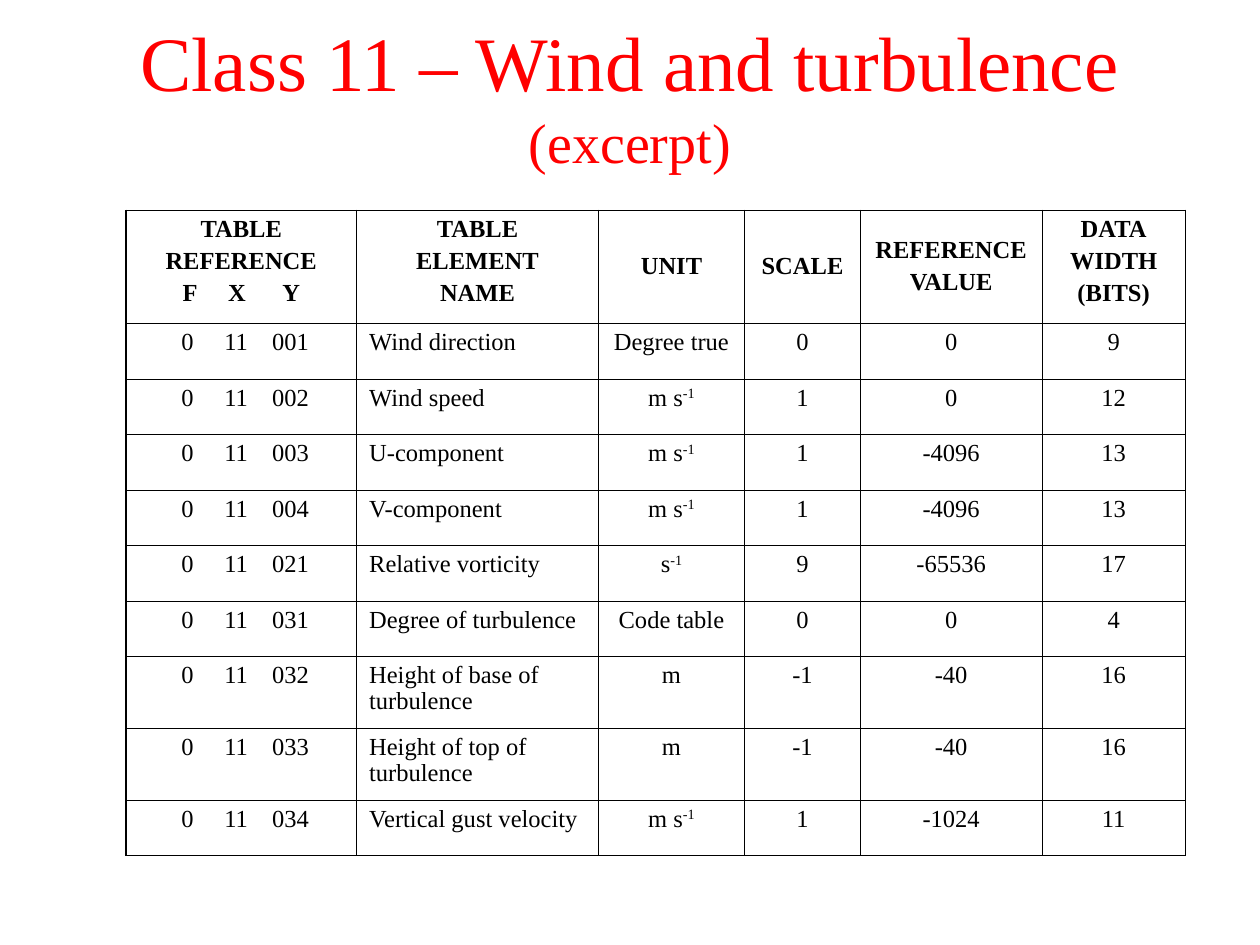
from lxml import etree
from pptx import Presentation
from pptx.dml.color import RGBColor
from pptx.enum.text import MSO_ANCHOR, PP_ALIGN
from pptx.oxml.ns import qn
from pptx.util import Inches, Pt

LEFT, CENTER = PP_ALIGN.LEFT, PP_ALIGN.CENTER
TOP, MIDDLE = MSO_ANCHOR.TOP, MSO_ANCHOR.MIDDLE

COLORS = {"title": "FF0000", "text": "000000", "border": "000000"}
FONT = "Times New Roman"
SLIDE_WIDTH, SLIDE_HEIGHT = Inches(10), Inches(7.5)
OUTER_LINE, INNER_LINE = Pt(1.08), Pt(0.45)

# Column widths and row heights in percent of the slide
COLUMN_WIDTHS = [18.3, 19.2, 11.6, 9.2, 14.4, 11.4]
HEADER_HEIGHT, ROW_HEIGHT, TALL_ROW_HEIGHT = 12, 5.87, 7.6
TALL_ELEMENTS = ("Height of base of turbulence", "Height of top of turbulence")

# Tab stops in inches for the F, X and Y parts of a table reference
HEADER_TABS = [0.35, 0.71, 1.14]
REFERENCE_TABS = [0.34, 0.68, 1.06]

HEADERS = [
    (["TABLE", "REFERENCE", "\tF\tX\tY"], TOP),
    (["TABLE", "ELEMENT", "NAME"], TOP),
    (["UNIT"], MIDDLE),
    (["SCALE"], MIDDLE),
    (["REFERENCE", "VALUE"], MIDDLE),
    (["DATA", "WIDTH", "(BITS)"], TOP),
]

# Y number, element name, unit (^ starts a superscript), scale, reference value, bits
ELEMENTS = [
    ("001", "Wind direction", "Degree true", "0", "0", "9"),
    ("002", "Wind speed", "m s^-1", "1", "0", "12"),
    ("003", "U-component", "m s^-1", "1", "-4096", "13"),
    ("004", "V-component", "m s^-1", "1", "-4096", "13"),
    ("021", "Relative vorticity", "s^-1", "9", "-65536", "17"),
    ("031", "Degree of turbulence", "Code table", "0", "0", "4"),
    ("032", "Height of base of turbulence", "m", "-1", "-40", "16"),
    ("033", "Height of top of turbulence", "m", "-1", "-40", "16"),
    ("034", "Vertical gust velocity", "m s^-1", "1", "-1024", "11"),
]


def across(percent):
    return round(SLIDE_WIDTH * percent / 100)


def down(percent):
    return round(SLIDE_HEIGHT * percent / 100)


def set_attributes(target, values):
    for name, value in values.items():
        setattr(target, name, value)


def add_run(paragraph, text, size, color, bold=False):
    run = paragraph.add_run()
    run.text = text
    set_attributes(run.font, {"name": FONT, "size": Pt(size), "bold": bold})
    run.font.color.rgb = RGBColor.from_string(COLORS[color])
    return run


def add_tab_stops(paragraph, stops):
    tab_list = etree.SubElement(paragraph._p.get_or_add_pPr(), qn("a:tabLst"))
    for stop in stops:
        etree.SubElement(tab_list, qn("a:tab"), pos=str(Inches(stop)), algn="l")


def write_paragraph(paragraph, text, alignment, tabs, bold=False):
    tabbed = "\t" in text
    set_attributes(paragraph, {
        "alignment": LEFT if tabbed else alignment,
        "line_spacing": 0.95,
        "space_before": Pt(3.5),
    })
    if tabbed:
        add_tab_stops(paragraph, tabs)
    base, _, superscript = text.partition("^")
    add_run(paragraph, base, 14, "text", bold)
    if superscript:
        run = add_run(paragraph, superscript, 14, "text", bold)
        run.font._element.set("baseline", "30000")


def set_borders(cell, widths):
    properties = cell._tc.get_or_add_tcPr()
    for side, width in widths.items():
        line = etree.SubElement(properties, qn(f"a:ln{side}"), w=str(width))
        fill = etree.SubElement(line, qn("a:solidFill"))
        etree.SubElement(fill, qn("a:srgbClr"), val=COLORS["border"])


def fill_cell(cell, lines, alignment=CENTER, anchor=TOP, tabs=(), bold=False):
    cell.vertical_anchor = anchor
    frame = cell.text_frame
    for index, text in enumerate(lines):
        paragraph = frame.add_paragraph() if index else frame.paragraphs[0]
        write_paragraph(paragraph, text, alignment, tabs, bold)


def add_title(slide):
    shape = slide.shapes.add_textbox(across(7.5), down(3.33), across(85), down(13.33))
    set_attributes(shape.text_frame, {"word_wrap": True, "vertical_anchor": MIDDLE})
    paragraph = shape.text_frame.paragraphs[0]
    paragraph.alignment = CENTER
    add_run(paragraph, "Class 11 – Wind and turbulence", 44, "title")
    paragraph.add_line_break()
    add_run(paragraph, "(excerpt)", 32, "title")


def add_element_table(slide):
    heights = [HEADER_HEIGHT] + [
        TALL_ROW_HEIGHT if element[1] in TALL_ELEMENTS else ROW_HEIGHT
        for element in ELEMENTS
    ]
    last_row, last_column = len(heights) - 1, len(COLUMN_WIDTHS) - 1
    table = slide.shapes.add_table(
        len(heights), len(COLUMN_WIDTHS), across(10), down(22.27),
        across(sum(COLUMN_WIDTHS)), down(sum(heights))).table
    set_attributes(table, {"first_row": False, "horz_banding": False})
    for column, width in zip(table.columns, COLUMN_WIDTHS):
        column.width = across(width)
    for row, height in zip(table.rows, heights):
        row.height = down(height)

    # Header row
    for column, (lines, anchor) in enumerate(HEADERS):
        fill_cell(table.cell(0, column), lines, CENTER, anchor, HEADER_TABS, True)

    # Element rows
    for row, (number, *values) in enumerate(ELEMENTS, start=1):
        for column, text in enumerate([f"\t0\t11\t{number}", *values]):
            alignment = LEFT if column == 1 else CENTER
            fill_cell(table.cell(row, column), [text], alignment, tabs=REFERENCE_TABS)

    # Thick outline, thin inner lines, no fill
    for row in range(last_row + 1):
        for column in range(last_column + 1):
            edges = {"L": column == 0, "R": column == last_column,
                     "T": row == 0, "B": row == last_row}
            cell = table.cell(row, column)
            set_borders(cell, {side: OUTER_LINE if outer else INNER_LINE
                               for side, outer in edges.items()})
            cell.fill.background()


def main():
    presentation = Presentation()
    set_attributes(presentation, {"slide_width": SLIDE_WIDTH, "slide_height": SLIDE_HEIGHT})
    slide = presentation.slides.add_slide(presentation.slide_layouts[6])
    add_title(slide)
    add_element_table(slide)
    presentation.save("out.pptx")


if __name__ == "__main__":
    main()
